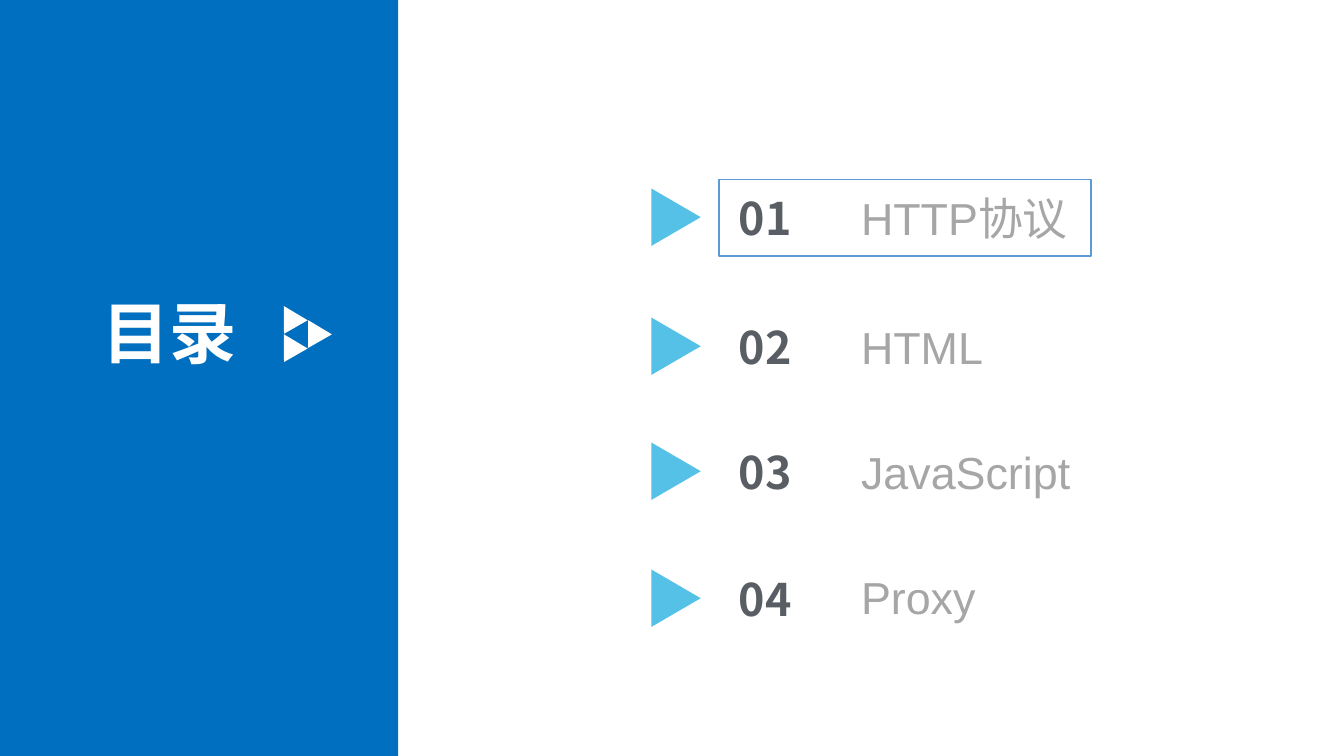
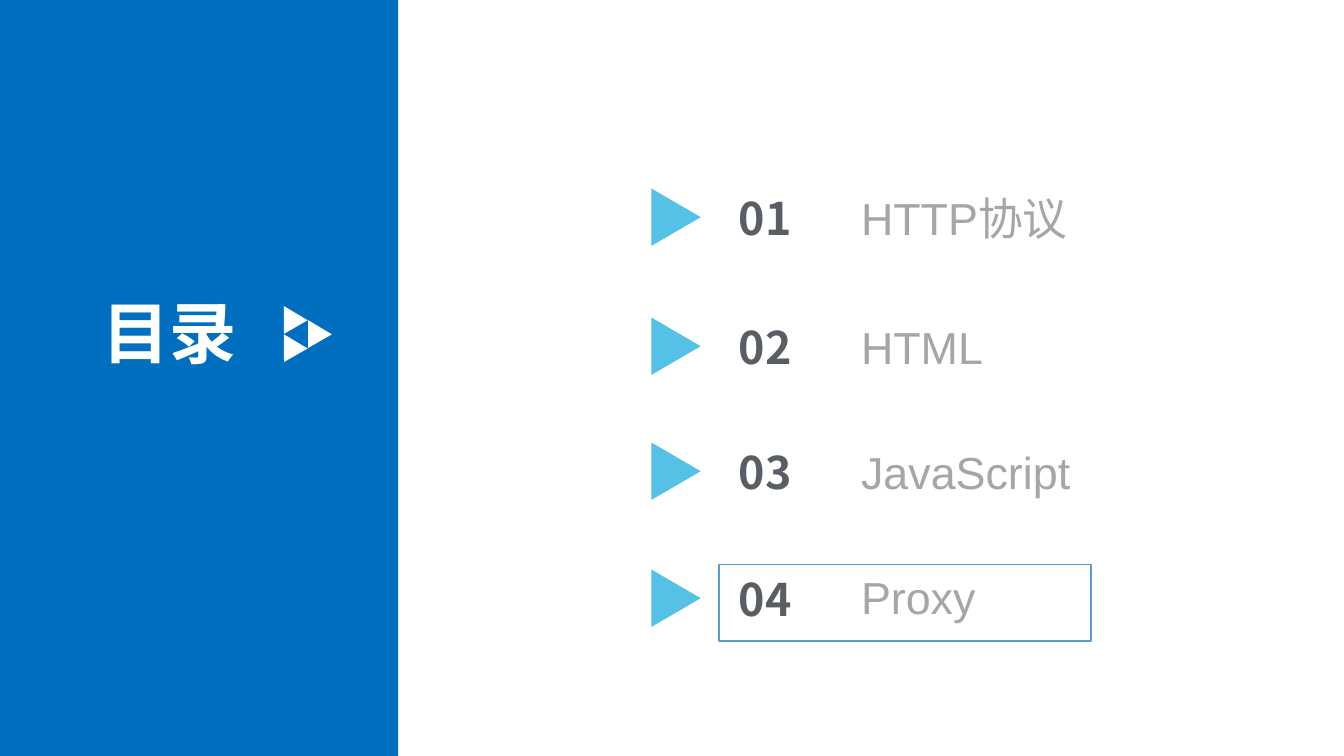
"""Build two contents slides, each framing the current chapter."""
from lxml import etree
from pptx import Presentation
from pptx.dml.color import RGBColor
from pptx.enum.shapes import MSO_SHAPE
from pptx.enum.text import MSO_ANCHOR, MSO_AUTO_SIZE
from pptx.oxml.ns import qn
from pptx.util import Emu, Pt

RECTANGLE = MSO_SHAPE.RECTANGLE
TRIANGLE = MSO_SHAPE.ISOSCELES_TRIANGLE
TOP, MIDDLE = MSO_ANCHOR.TOP, MSO_ANCHOR.MIDDLE
GROW = MSO_AUTO_SIZE.SHAPE_TO_FIT_TEXT

PX = 9144
SLIDE_SIZE = (1333, 750)
COLORS = {
    "band": "006FBF",
    "white": "FFFFFF",
    "arrow": "55C1E7",
    "number": "595E64",
    "label": "A6A6A6",
    "frame": "5B9BD5",
}
LATIN_FONT, CJK_FONT = "Arial", "Noto Sans CJK SC"

HEADING = "目录"
CHAPTERS = [
    ("HTTP协议", 184, 189),
    ("HTML", 312, 317),
    ("JavaScript", 436, 441),
    ("Proxy", 562, 565),
]
FRAME_TOPS = [178, 560]
EMBLEM = [(274, 302), (274, 330), (298, 316)]


def px(*lengths):
    return [Emu(length * PX) for length in lengths]


def color(name):
    return RGBColor.from_string(COLORS[name])


def add_block(shapes, kind, box, fill, line=None, rotation=0):
    block = shapes.add_shape(kind, *px(*box))
    block.shadow.inherit = False
    block.fill.solid()
    block.fill.fore_color.rgb = color(fill)
    if line:
        block.line.color.rgb = color(line)
        block.line.width = Pt(1)
    else:
        block.line.fill.background()
    block.rotation = rotation


def add_text(shapes, text, box, size, ink, font=CJK_FONT, bold=True,
             anchor=TOP, insets=(10, 5)):
    frame = shapes.add_textbox(*px(*box)).text_frame
    frame.word_wrap = True
    frame.auto_size = GROW
    frame.vertical_anchor = anchor
    frame.margin_left = frame.margin_right = Emu(insets[0] * PX)
    frame.margin_top = frame.margin_bottom = Emu(insets[1] * PX)
    paragraph = frame.paragraphs[0]
    paragraph.text = text
    paragraph.font.size = Pt(size)
    paragraph.font.bold = bold
    paragraph.font.name = font
    paragraph.font.color.rgb = color(ink)
    defaults = paragraph._p.pPr.find(qn("a:defRPr"))
    etree.SubElement(defaults, qn("a:ea"), typeface=CJK_FONT)


def add_sidebar(shapes):
    add_block(shapes, RECTANGLE, (0, 0, 395, SLIDE_SIZE[1]), "band")
    add_text(shapes, HEADING, (92, 284, 174, 91), 48, "white")
    emblem = shapes.add_group_shape()
    for left, top in EMBLEM:
        add_block(emblem.shapes, TRIANGLE, (left, top, 27, 24), "white",
                  rotation=330.2)


def add_chapters(shapes):
    for number, (label, top, label_top) in enumerate(CHAPTERS, 1):
        add_block(shapes, TRIANGLE, (642, top + 7, 57, 49), "arrow",
                  rotation=90)
        add_text(shapes, f"{number:02}", (723, top, 211, 64), 32, "number")
        add_text(shapes, label, (854, label_top, 293, 54), 32, "label",
                 LATIN_FONT, False, MIDDLE, (0, 0))


def main():
    deck = Presentation()
    deck.slide_width, deck.slide_height = px(*SLIDE_SIZE)
    for frame_top in FRAME_TOPS:
        shapes = deck.slides.add_slide(deck.slide_layouts[6]).shapes
        add_block(shapes, RECTANGLE, (713, frame_top, 369, 76), "white",
                  "frame")
        add_sidebar(shapes)
        add_chapters(shapes)
    deck.save("out.pptx")


if __name__ == "__main__":
    main()
